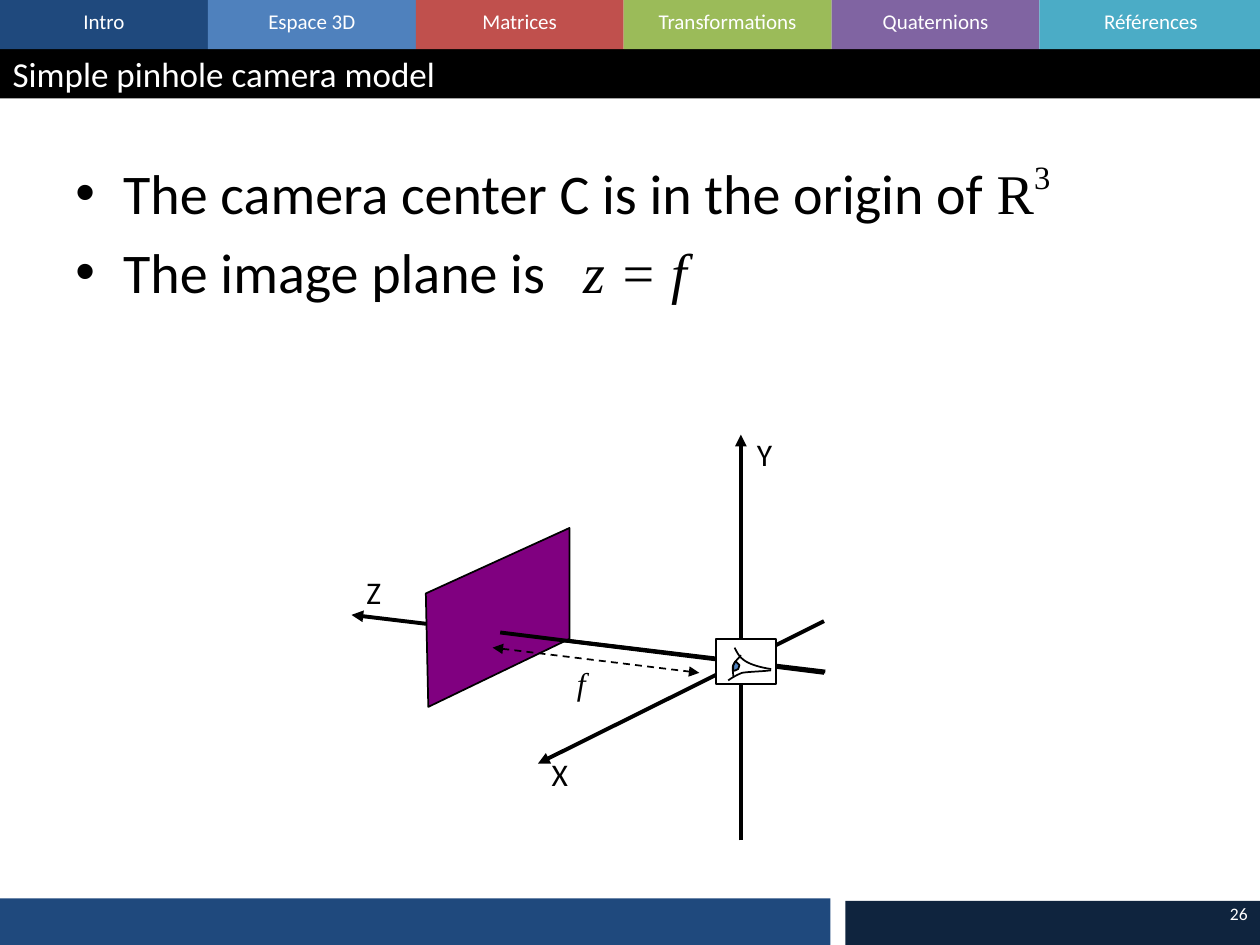
from dataclasses import dataclass

from lxml.etree import SubElement
from pptx import Presentation
from pptx.dml.color import RGBColor
from pptx.enum.dml import MSO_LINE
from pptx.enum.shapes import MSO_CONNECTOR as CONN, MSO_SHAPE as SHAPE
from pptx.enum.text import MSO_ANCHOR as ANCHOR, PP_ALIGN as ALIGN
from pptx.oxml.ns import qn
from pptx.util import Inches, Pt

COLORS = {
    "navy": "1F497D", "blue": "4F81BD", "red": "C0504D", "green": "9BBB59",
    "violet": "8064A2", "aqua": "4BACC6", "night": "0F243E",
    "black": "000000", "white": "FFFFFF", "plane": "800080",
}
SANS, SERIF = "Calibri", "Times New Roman"
TABS = [("Intro", "navy"), ("Espace 3D", "blue"), ("Matrices", "red"),
        ("Transformations", "green"), ("Quaternions", "violet"), ("Références", "aqua")]
LIDS = [
    [(44, 24), (37, 23), (29, 21), (24, 18), (19, 15), (17, 11), (15, 7)],
    [(44, 25), (36, 26), (27, 26), (21, 27), (16, 29), (13, 31), (10, 33)],
    [(20, 13), (18, 16), (15, 18), (14, 21), (13, 23), (14, 27), (14, 30)],
]
IRIS = [(16, 18), (16, 18), (18, 20), (19, 21), (19, 21), (18, 23), (18, 24), (17, 24),
        (15, 26), (14, 25), (14, 25), (14, 22), (14, 21), (15, 20), (15, 18), (16, 18)]


@dataclass
class Box:
    x: float
    y: float
    w: float
    h: float
    cols: float = 1
    rows: float = 1

    def at(self, col, row):
        return (Inches(self.x + self.w * col / self.cols),
                Inches(self.y + self.h * row / self.rows))

    def sub(self, col, row, wide, high, **grid):
        cw, rh = self.w / self.cols, self.h / self.rows
        return Box(self.x + col * cw, self.y + row * rh, wide * cw, high * rh, **grid)

    def emu(self):
        return [Inches(v) for v in (self.x, self.y, self.w, self.h)]


def rgb(name):
    return RGBColor.from_string(COLORS[name])


def paint(sp, fill=None, line=None):
    sp.shadow.inherit = False
    if fill:
        sp.fill.solid()
        sp.fill.fore_color.rgb = rgb(fill)
    else:
        sp.fill.background()
    if line:
        sp.line.color.rgb = rgb(line)
        sp.line.width = Pt(1)
    else:
        sp.line.fill.background()


def add_rect(s, box, fill, line=None):
    sp = s.shapes.add_shape(SHAPE.RECTANGLE, *box.emu())
    paint(sp, fill, line)
    return sp


def add_run(p, text, size, color="black", font=SANS, italic=False):
    r = p.add_run()
    r.text = text
    r.font.size, r.font.name, r.font.italic = Pt(size), font, italic
    r.font.color.rgb = rgb(color)
    return r


def add_line(s, start, end, width=2.25, ends=(), dash=False):
    cn = s.shapes.add_connector(CONN.STRAIGHT, *start, *end)
    cn.line.color.rgb = rgb("black")
    cn.line.width = Pt(width)
    if dash:
        cn.line.dash_style = MSO_LINE.DASH
    ln = cn.line._get_or_add_ln()
    for tag in ends:
        SubElement(ln, qn(f"a:{tag}"), type="triangle")
    SubElement(cn._element.spPr, qn("a:effectLst"))


def add_outline(shapes, points, closed, fill=None):
    fb = shapes.build_freeform(*points[0])
    fb.add_line_segments(points[1:], close=closed)
    paint(fb.convert_to_shape(), fill, "black")


def add_label(s, box, text, font=SANS, italic=False):
    tf = s.shapes.add_textbox(*box.emu()).text_frame
    tf.word_wrap = False
    add_run(tf.paragraphs[0], text, 18, font=font, italic=italic)


def bezier(points, steps=8):
    curve = [points[0]]
    for i in range(0, len(points) - 1, 3):
        ctrl = points[i:i + 4]
        for n in range(1, steps + 1):
            t = n / steps
            weights = ((1 - t) ** 3, 3 * t * (1 - t) ** 2, 3 * t * t * (1 - t), t ** 3)
            curve.append(tuple(sum(w * c[k] for w, c in zip(weights, ctrl)) for k in (0, 1)))
    return curve


def add_tabs(s, box):
    step = 1.65
    for i, (text, color) in enumerate(TABS):
        last = i == len(TABS) - 1
        width = box.w - i * step if last else step
        sp = add_rect(s, Box(box.x + i * step, box.y, width, box.h), color)
        tf = sp.text_frame
        tf.vertical_anchor, tf.margin_top = ANCHOR.TOP, Inches(0.07)
        p = tf.paragraphs[0]
        p.alignment = ALIGN.CENTER
        add_run(p, text, 12, "white")


def add_title(s, box):
    sp = s.shapes.title
    sp.left, sp.top, sp.width, sp.height = box.emu()
    sp.fill.solid()
    sp.fill.fore_color.rgb = rgb("black")
    sp.text_frame.vertical_anchor = ANCHOR.MIDDLE
    p = sp.text_frame.paragraphs[0]
    p.alignment = ALIGN.LEFT
    add_run(p, "Simple pinhole camera model", 20, "white")


def add_bullet(p):
    pPr = p._p.get_or_add_pPr()
    pPr.set("marL", str(Inches(0.38)))
    pPr.set("indent", str(-Inches(0.38)))
    p.space_before = Pt(6.4)
    SubElement(pPr, qn("a:buFont"), typeface="Arial")
    SubElement(pPr, qn("a:buChar"), char="•")


def add_body(s, box):
    tf = s.shapes.add_textbox(*box.emu()).text_frame
    tf.word_wrap = True
    p = tf.paragraphs[0]
    add_bullet(p)
    add_run(p, "The camera center C is in the origin of ", 32)
    add_run(p, "R", 32, font=SERIF)
    r = add_run(p, "3", 32, font=SERIF)
    r.font._element.set("baseline", "45000")
    p = tf.add_paragraph()
    add_bullet(p)
    add_run(p, "The image plane is", 32)
    r = add_run(p, " ", 32)
    r.font._element.set("spc", "1450")
    add_run(p, "z = f", 32, font=SERIF, italic=True)


def add_eye(s, box):
    add_rect(s, box, "white", "black")
    grp = s.shapes.add_group_shape()
    for lid in LIDS:
        add_outline(grp.shapes, [box.at(*pt) for pt in bezier(lid)], False)
    add_outline(grp.shapes, [box.at(*pt) for pt in bezier(IRIS)], True, "blue")


def add_camera(s, box):
    at = box.at
    add_line(s, at(31.8, 32.7), at(31.8, 0.5), ends=["tailEnd"])
    add_line(s, at(38.5, 19.3), at(0.9, 14.8), ends=["tailEnd"])
    add_line(s, at(38.4, 15.3), at(15.7, 26.6), ends=["tailEnd"])
    for text, col, row in [("X", 15.8, 25.4), ("Y", 32.1, 0), ("Z", 1.1, 11)]:
        add_label(s, box.sub(col, row, 3.7, 4), text)
    corners = [(7, 22.1), (18.2, 16.7), (18.2, 7.9), (6.8, 13.1)]
    add_outline(s.shapes, [at(*c) for c in corners], True, "plane")
    add_line(s, at(12.7, 16.2), at(38.4, 19.4))
    add_eye(s, box.sub(29.8, 16.7, 4.8, 3.6, cols=48, rows=36))
    add_line(s, at(12.1, 17.4), at(28.5, 19.4), 1, ["headEnd", "tailEnd"], dash=True)
    add_label(s, box.sub(17.8, 18.2, 2.7, 4), "f", SERIF, True)


def add_footer(s, box):
    add_rect(s, Box(box.x, box.y, 6.6, 0.38), "navy")
    add_rect(s, Box(6.71, box.y + 0.02, 3.31, 0.38), "night")
    tf = s.shapes.add_textbox(*Box(7.67, 7, 2.33, 0.5).emu()).text_frame
    tf.word_wrap = True
    tf.vertical_anchor = ANCHOR.MIDDLE
    p = tf.paragraphs[0]
    p.alignment = ALIGN.RIGHT
    add_run(p, "26", 10, "white")


def main():
    prs = Presentation()
    prs.slide_width, prs.slide_height = Inches(10), Inches(7.5)
    s = prs.slides.add_slide(prs.slide_layouts[5])
    add_tabs(s, Box(0, 0, 10.02, 0.39))
    add_title(s, Box(0, 0.39, 10.02, 0.39))
    add_footer(s, Box(-0.01, 7.13, 10.03, 0.4))
    add_body(s, Box(0.5, 1.2, 9, 5.5))
    add_camera(s, Box(2.7, 3.4, 4, 3.4, cols=40, rows=34))
    prs.save("out.pptx")


if __name__ == "__main__":
    main()
